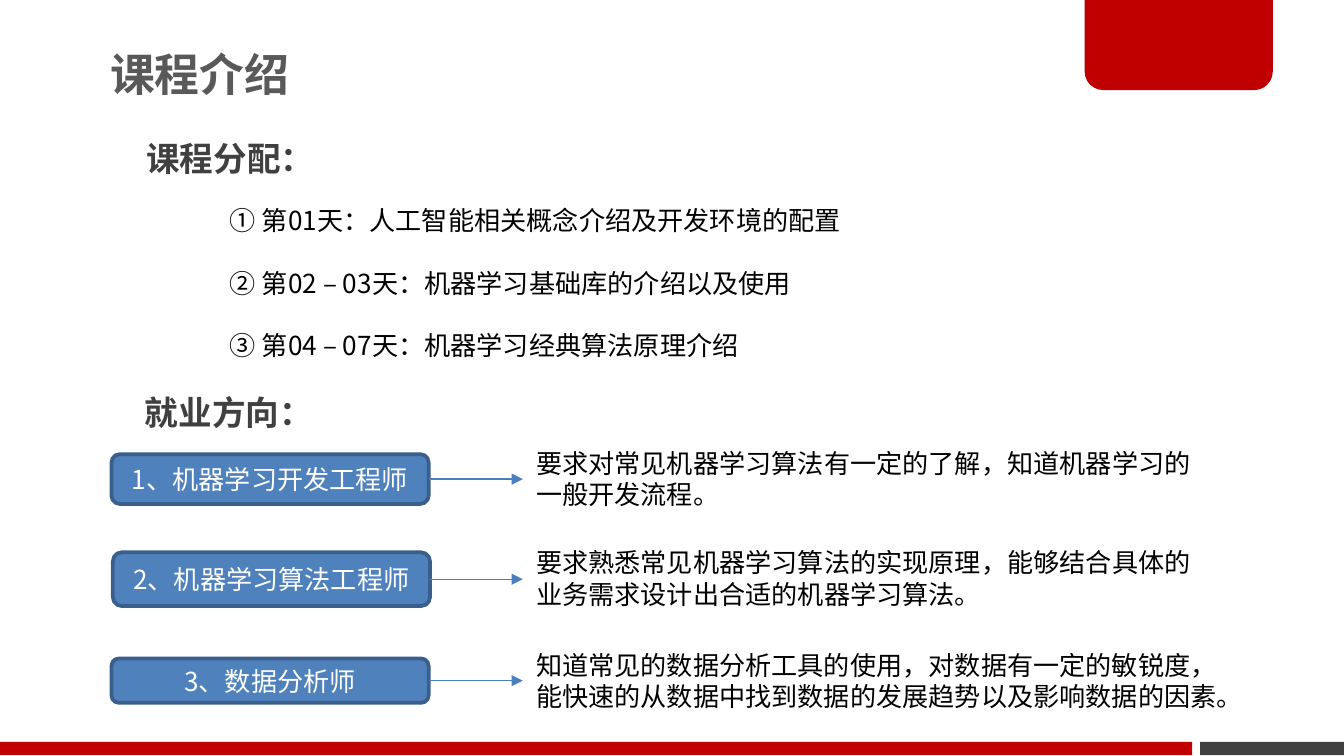
from lxml.etree import SubElement
from pptx import Presentation
from pptx.dml.color import RGBColor
from pptx.enum.shapes import MSO_CONNECTOR as Connector, MSO_SHAPE as Shape
from pptx.enum.text import MSO_ANCHOR as Anchor, MSO_AUTO_SIZE as AutoSize, PP_ALIGN as Align
from pptx.oxml.ns import qn
from pptx.util import Inches, Pt

FONT = "Noto Sans CJK SC"
COLORS = {"red": "C00000", "dark": "404040", "title": "595959", "text": "000000",
          "white": "FFFFFF", "box": "4F81BD", "border": "3A5F8C", "arrow": "4B7EBC"}

TITLE = "课程介绍"
HEADINGS = [("课程分配：", (0.99, 0.98, 5.65, 0.4)),
            ("就业方向：", (0.98, 2.87, 5.65, 0.4))]
SCHEDULE = ["① 第01天：人工智能相关概念介绍及开发环境的配置",
            "② 第02 – 03天：机器学习基础库的介绍以及使用",
            "③ 第04 – 07天：机器学习经典算法原理介绍"]
# job, box (left, top, height), requirement lines, their (top, width)
CAREERS = [
    ("1、机器学习开发工程师", (0.83, 3.38, 0.37),
     ["要求对常见机器学习算法有一定的了解，知道机器学习的", "一般开发流程。"], (3.28, 5.58)),
    ("2、机器学习算法工程师", (0.84, 4.11, 0.4),
     ["要求熟悉常见机器学习算法的实现原理，能够结合具体的",
      "业务需求设计出合适的机器学习算法。"], (4.02, 5.11)),
    ("3、数据分析师", (0.83, 4.9, 0.33),
     ["知道常见的数据分析工具的使用，对数据有一定的敏锐度，",
      "能快速的从数据中找到数据的发展趋势以及影响数据的因素。"], (4.78, 5.5)),
]
JOB_WIDTH, REQUIREMENT_LEFT = 2.36, 3.89

TITLE_STYLE = {"size": Pt(24), "bold": True, "name": FONT}
HEADING_STYLE = {"size": Pt(18), "bold": True, "name": FONT}
BODY_STYLE = {"size": Pt(14), "bold": False, "name": FONT}


def color(key):
    return RGBColor.from_string(COLORS[key])


def place(part, *box):
    part.left, part.top, part.width, part.height = map(Inches, box)


def write(part, lines, style, color_key, align=Align.LEFT, anchor=Anchor.TOP,
          gap=0, leading=1.2):
    """Fill a part with one paragraph per line, gap being the space between them."""
    frame = part.text_frame
    frame.word_wrap, frame.auto_size = True, AutoSize.NONE
    frame.vertical_anchor = anchor
    frame.text = "\n".join(lines)
    for index, paragraph in enumerate(frame.paragraphs):
        paragraph.alignment = align
        paragraph.line_spacing = Pt(style["size"].pt * leading)
        paragraph.space_before = Pt(gap if index else 0)
        run = paragraph.runs[0]
        run.font.color.rgb = color(color_key)
        for key, value in style.items():
            setattr(run.font, key, value)
        SubElement(run._r.get_or_add_rPr(), qn("a:ea"), typeface=FONT)


def add_text(slide, box, *content):
    write(slide.shapes.add_textbox(*map(Inches, box)), *content)


def add_block(slide, preset, box, fill, border=None):
    block = slide.shapes.add_shape(preset, *map(Inches, box))
    block.shadow.inherit = False
    block.fill.solid()
    block.fill.fore_color.rgb = color(fill)
    if border:
        block.line.color.rgb, block.line.width = color(border), Pt(2)
    else:
        block.line.fill.background()
    return block


def add_arrow(slide, start, end, y):
    arrow = slide.shapes.add_connector(
        Connector.STRAIGHT, Inches(start), Inches(y), Inches(end), Inches(y))
    arrow.line.color.rgb, arrow.line.width = color("arrow"), Pt(0.75)
    SubElement(arrow.line._get_or_add_ln(), qn("a:tailEnd"), type="triangle")
    SubElement(arrow._element.spPr, qn("a:effectLst"))


def add_schedule(body):
    place(body, 1.61, 1.47, 4.81, 1.28)
    write(body, SCHEDULE, BODY_STYLE, "text", gap=16.8)
    for paragraph in body.text_frame.paragraphs:
        properties = paragraph._p.get_or_add_pPr()
        properties.set("marL", "0")
        properties.set("indent", "0")
        SubElement(properties, qn("a:buNone"))


def main():
    deck = Presentation()
    deck.slide_width = Inches(10)
    deck.slide_height = deck.slide_width * 9 // 16
    slide = deck.slides.add_slide(deck.slide_layouts[1])

    add_block(slide, Shape.RECTANGLE, (8.93, 5.52, 1.07, 0.1), "dark")
    add_block(slide, Shape.RECTANGLE, (0, 5.52, 8.87, 0.1), "red")
    tab = add_block(slide, Shape.ROUND_2_SAME_RECTANGLE, (8.07, -0.02, 1.4, 0.69), "red")
    tab.adjustments[0] = 0.2
    tab.rotation = 180

    title = slide.shapes.title
    place(title, 0.75, 0.12, 5.89, 0.89)
    write(title, [TITLE], TITLE_STYLE, "title", Align.LEFT, Anchor.MIDDLE, leading=1.08)
    title.text_frame.margin_left = title.text_frame.margin_right = Inches(0.07)

    for heading, box in HEADINGS:
        add_text(slide, box, [heading], HEADING_STYLE, "dark")
    add_schedule(slide.placeholders[1])

    for job, (left, top, height), requirement, (text_top, text_width) in CAREERS:
        job_box = add_block(slide, Shape.ROUNDED_RECTANGLE,
                            (left, top, JOB_WIDTH, height), "box", "border")
        write(job_box, [job], BODY_STYLE, "white", Align.CENTER, Anchor.MIDDLE)
        add_text(slide, (REQUIREMENT_LEFT, text_top, text_width, 0.57),
                 requirement, BODY_STYLE, "text")
        add_arrow(slide, left + JOB_WIDTH, REQUIREMENT_LEFT, top + height / 2)

    deck.save("out.pptx")


if __name__ == "__main__":
    main()
